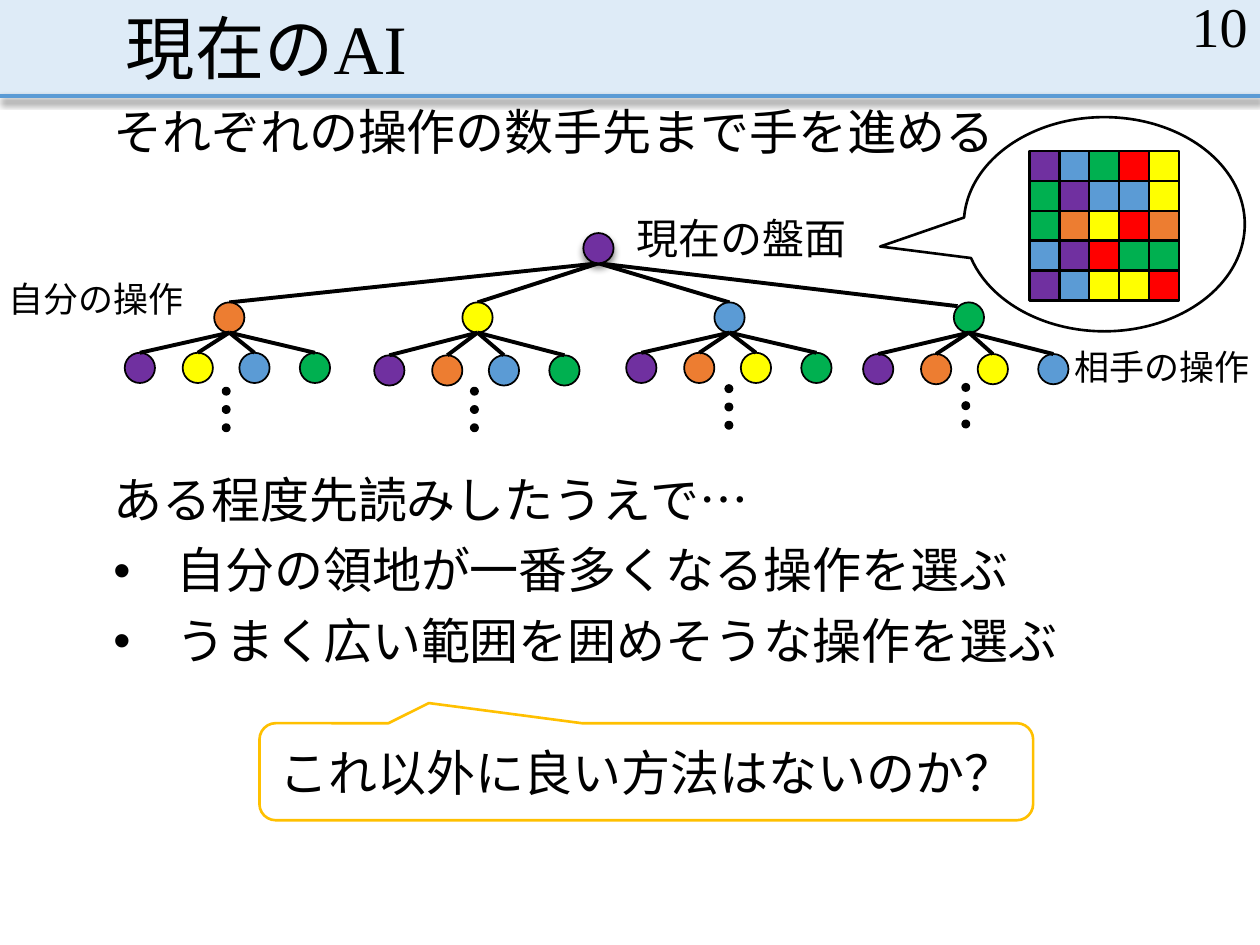
from lxml import etree
from pptx import Presentation
from pptx.dml.color import RGBColor
from pptx.enum.shapes import MSO_CONNECTOR as Line, MSO_SHAPE as Shape
from pptx.enum.text import MSO_ANCHOR as Anchor, PP_ALIGN as Align
from pptx.oxml import parse_xml
from pptx.oxml.ns import nsdecls, qn
from pptx.util import Inches, Pt

PURPLE, BLUE, GREEN = "7030A0", "5B9BD5", "00B050"
RED, YELLOW, ORANGE = "FF0000", "FFFF00", "ED7D31"
BLACK, WHITE, GOLD, PALE = "000000", "FFFFFF", "FFC000", "DEEBF7"
NODE = 0.24
LEAF_STEPS = (0, 0.46, 0.91, 1.39)
BRANCHES = (
    (ORANGE, 1.70, 0.99, 2.80, (PURPLE, YELLOW, BLUE, GREEN), (1.77, 3.08)),
    (YELLOW, 3.67, 2.97, 2.82, (PURPLE, ORANGE, BLUE, GREEN), (3.74, 3.08)),
    (BLUE, 5.67, 4.97, 2.80, (PURPLE, ORANGE, YELLOW, GREEN), (5.76, 3.06)),
    (GREEN, 7.57, 6.85, 2.81, (PURPLE, ORANGE, YELLOW, BLUE), (7.64, 3.05)),
)
BOARD = (
    (PURPLE, BLUE, GREEN, RED, YELLOW),
    (GREEN, PURPLE, BLUE, BLUE, YELLOW),
    (GREEN, ORANGE, YELLOW, RED, ORANGE),
    (BLUE, PURPLE, RED, GREEN, GREEN),
    (PURPLE, BLUE, YELLOW, YELLOW, RED),
)


def paint(color_format, color):
    """Set a fill or line colour from a hex string."""
    color_format.rgb = RGBColor.from_string(color)


def add_shadow(item):
    """Give an item a soft shadow straight below it."""
    properties = item._element.spPr
    for old in properties.findall(qn("a:effectLst")):
        properties.remove(old)
    properties.append(parse_xml(
        f'<a:effectLst {nsdecls("a")}><a:outerShdw blurRad="50800" dist="31750" '
        'dir="5400000" algn="t" rotWithShape="0"><a:srgbClr val="000000">'
        '<a:alpha val="47000"/></a:srgbClr></a:outerShdw></a:effectLst>'))


def add_figure(page, kind, box, fill, line=BLACK, width=1.0, adjust=()):
    """Add a filled preset shape; a line of None leaves it without an outline."""
    figure = page.shapes.add_shape(kind, *map(Inches, box))
    figure.shadow.inherit = False
    figure.fill.solid()
    paint(figure.fill.fore_color, fill)
    if line:
        paint(figure.line.color, line)
        figure.line.width = Pt(width)
    else:
        figure.line.fill.background()
    for index, value in enumerate(adjust):
        figure.adjustments[index] = value
    return figure


def add_line(page, start, end, color=BLACK):
    """Add a straight line without a shadow."""
    line = page.shapes.add_connector(Line.STRAIGHT, *map(Inches, start + end))
    paint(line.line.color, color)
    line.line.width = Pt(2.25)
    etree.SubElement(line._element.spPr, qn("a:effectLst"))
    return line


def write(frame, text, size=28, align=Align.LEFT, anchor=Anchor.TOP, inset=0.1,
          spacing=None, before=0, bullets=(), wrap=True):
    """Write one paragraph per line of text, bulleting the given line numbers."""
    frame.word_wrap = wrap
    frame.vertical_anchor = anchor
    frame.margin_left = frame.margin_right = Inches(inset)
    for index, words in enumerate(text.split("\n")):
        para = frame.add_paragraph() if index else frame.paragraphs[0]
        para.alignment = align
        para.space_before = Pt(before)
        if spacing:
            para.line_spacing = spacing
        if index in bullets:
            properties = para._p.get_or_add_pPr()
            properties.set("marL", str(Inches(0.5)))
            properties.set("indent", str(-Inches(0.5)))
            etree.SubElement(properties, qn("a:buFont"), typeface="Arial")
            etree.SubElement(properties, qn("a:buChar"), char="•")
        span = para.add_run()
        span.text = words
        span.font.size = Pt(size)
        span.font.name = "Times New Roman"
        paint(span.font.color, BLACK)


def add_text(page, box, text, **style):
    """Add a text box."""
    write(page.shapes.add_textbox(*map(Inches, box)).text_frame, text, **style)


def add_header(page, box):
    """Place the title band, its rule, the title and the page number."""
    left, top, width, height = box
    add_figure(page, Shape.RECTANGLE, box, PALE, line=None)
    add_shadow(add_line(page, (left, top + height), (left + width, top + height), BLUE))
    add_text(page, (left + 0.9, top, 8.25, height), "現在のAI", size=39.6,
             anchor=Anchor.BOTTOM, spacing=0.9)
    add_text(page, (left + width - 2.25, top, 2.25, 0.4), "10", size=32,
             align=Align.RIGHT, anchor=Anchor.MIDDLE)


def add_node(page, left, top, color):
    """Add one round node of the tree."""
    return add_figure(page, Shape.OVAL, (left, top, NODE, NODE), color)


def add_dots(page, left, top):
    """Add three dots in a column."""
    for row in range(3):
        add_figure(page, Shape.OVAL, (left, top + row * 0.145, 0.05, 0.05), BLACK, width=1.5)


def add_tree(page, box):
    """Place the tree of moves with its root centred at the top of the box."""
    left, top, width, _ = box
    root = (left + width / 2, top + NODE)
    middle = top + 0.55
    for color, parent, first, leaf_top, leaves, dots in BRANCHES:
        end = (parent + NODE / 2, middle)
        if color == GREEN:
            end = (parent + 0.03, middle + 0.03)
        add_line(page, root, end)
        add_node(page, parent, middle, color)
        joint = (parent + NODE / 2, middle + NODE)
        for step, leaf_color in zip(LEAF_STEPS, leaves):
            leaf = add_node(page, first + step, leaf_top, leaf_color)
            branch = add_line(page, joint, (first + step + NODE / 2, leaf_top))
            branch.end_connect(leaf, 0)
        add_dots(page, *dots)
    add_shadow(add_node(page, root[0] - NODE / 2, top, PURPLE))


def add_board(page, box):
    """Place the speech balloon holding the coloured board."""
    left, top, _, _ = box
    add_figure(page, Shape.OVAL_CALLOUT, box, WHITE, width=1.5, adjust=(-0.798, 0.104))
    pitch = 0.237
    for row, colors in enumerate(BOARD):
        for column, color in enumerate(colors):
            cell = (left + 0.52 + column * pitch, top + 0.27 + row * pitch, NODE, NODE)
            add_figure(page, Shape.RECTANGLE, cell, color, width=1.5)


def add_question(page, box):
    """Place the closing question in its callout."""
    callout = add_figure(page, Shape.ROUNDED_RECTANGULAR_CALLOUT, box, WHITE, GOLD, 1.5,
                         (-0.281, -0.708, 0.167))
    write(callout.text_frame, "これ以外に良い方法はないのか？", align=Align.CENTER,
          anchor=Anchor.MIDDLE)


def main():
    """Build the slide and save it."""
    deck = Presentation()
    deck.slide_width, deck.slide_height = Inches(10), Inches(7.5)
    page = deck.slides.add_slide(deck.slide_layouts[6])
    body = {"inset": 0, "spacing": 0.9, "before": 10}
    add_header(page, (0, 0, 10, 0.76))
    add_text(page, (0.9, 3.73, 8.61, 2.65),
             "ある程度先読みしたうえで…\n自分の領地が一番多くなる操作を選ぶ\n"
             "うまく広い範囲を囲めそうな操作を選ぶ", bullets=(1, 2), **body)
    add_tree(page, (0.99, 1.85, 7.52, 1.57))
    add_text(page, (0.9, 0.81, 8.25, 0.61), "それぞれの操作の数手先まで手を進める", **body)
    add_question(page, (2.06, 5.74, 6.14, 0.77))
    add_board(page, (7.65, 0.93, 2.23, 1.7))
    add_text(page, (4.95, 1.64, 1.88, 0.5), "現在の盤面", size=24, wrap=False)
    add_text(page, (-0.03, 2.15, 1.64, 0.44), "自分の操作", size=20)
    add_text(page, (8.43, 2.69, 1.64, 0.44), "相手の操作", size=20)
    deck.save("out.pptx")


if __name__ == "__main__":
    main()
